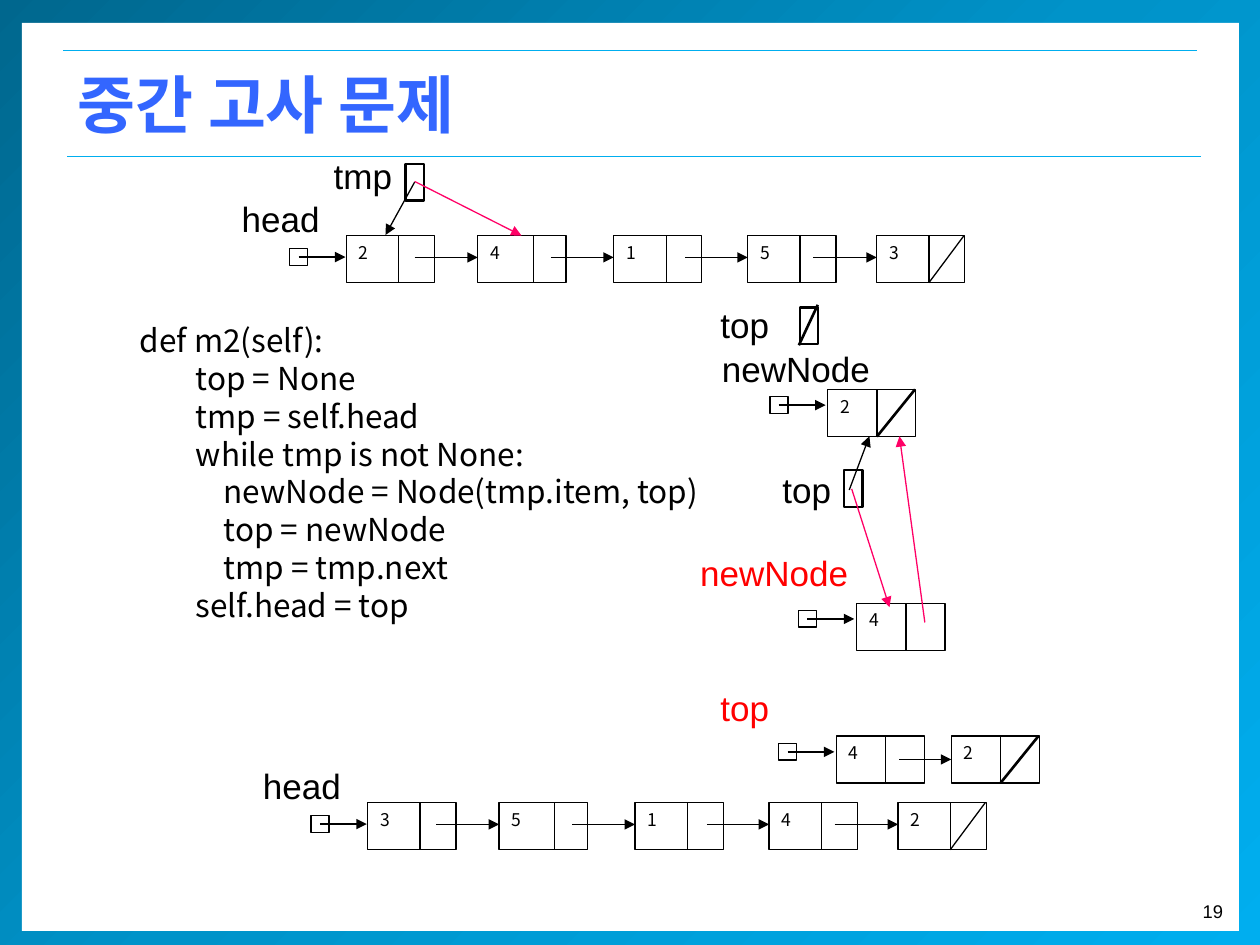
from copy import deepcopy

from lxml.etree import SubElement
from pptx import Presentation
from pptx.dml.color import RGBColor
from pptx.enum.shapes import MSO_CONNECTOR, MSO_SHAPE
from pptx.enum.text import MSO_ANCHOR, PP_ALIGN
from pptx.oxml.ns import qn
from pptx.util import Pt

BLACK, WHITE, RED, PINK = "000000", "FFFFFF", "FF0000", "FF0066"
BLUE, CYAN = "3366FF", "00AEEF"
LATIN, KOREAN = "Arial", "Noto Sans CJK KR"
NODE_WIDTH, NODE_HEIGHT = 50.4, 27
SHORT_DIVIDER = 28.1
LABEL_WIDTHS = {"head": 59.8, "tmp": 48.2, "top": 42.5, "newNode": 100.1}

# Per node of a five-node list: left from the first node, divider, start of the next arrow
CHAIN = [(0, 29.8, 39), (75, 31.7, 41.8), (152.7, 30, 41), (229.3, 29.8, 37.5), (303, 29.8, None)]

# Indent level and text
CODE = [
    (0, "def m2(self):"),
    (2, "top = None"),
    (2, "tmp = self.head"),
    (2, "while tmp is not None:"),
    (3, "newNode = Node(tmp.item, top)"),
    (3, "top = newNode"),
    (3, "tmp = tmp.next"),
    (2, "self.head = top"),
]


def color(value):
    return RGBColor.from_string(value)


def apply_format(target, values):
    for name, value in values.items():
        setattr(target, name, value)


def add_span(para, text, size, font=LATIN, fill=BLACK, bold=False):
    span = para.add_run()
    span.text = text
    apply_format(span.font, {"size": Pt(size), "name": font, "bold": bold})
    span.font.color.rgb = color(fill)
    if font == KOREAN:
        SubElement(span.font._element, qn("a:ea")).set("typeface", font)


def add_text(page, left, top, width, height, text, size, wrap=False,
             anchor=MSO_ANCHOR.TOP, align=PP_ALIGN.LEFT, **style):
    box = page.shapes.add_textbox(Pt(left), Pt(top), Pt(width), Pt(height))
    apply_format(box.text_frame, {"word_wrap": wrap, "vertical_anchor": anchor})
    para = box.text_frame.paragraphs[0]
    para.alignment = align
    add_span(para, text, size, **style)


def add_label(page, left, top, text, fill=BLACK):
    add_text(page, left, top, LABEL_WIDTHS[text], 31.7, text, 20, fill=fill)


def add_box(page, left, top, width, height, fill=WHITE, line=BLACK, weight=0.75):
    box = page.shapes.add_shape(MSO_SHAPE.RECTANGLE, Pt(left), Pt(top), Pt(width), Pt(height))
    box.shadow.inherit = False
    if fill:
        box.fill.solid()
        box.fill.fore_color.rgb = color(fill)
    else:
        box.fill.background()
    if line:
        box.line.color.rgb = color(line)
        box.line.width = Pt(weight)
    else:
        box.line.fill.background()
    return box


def add_line(page, start, end, stroke=BLACK, weight=0.75, arrow=False):
    line = page.shapes.add_connector(MSO_CONNECTOR.STRAIGHT, *map(Pt, start + end))
    line.line.color.rgb = color(stroke)
    line.line.width = Pt(weight)
    if arrow:
        SubElement(line.line._get_or_add_ln(), qn("a:tailEnd")).set("type", "triangle")
    SubElement(line._element.spPr, qn("a:effectLst"))


def add_node(page, left, top, item, divider=SHORT_DIVIDER, slash=None):
    """Draw an item cell and a link cell; slash is the weight of the null mark."""
    box = add_box(page, left, top, NODE_WIDTH, NODE_HEIGHT)
    box.text_frame.vertical_anchor = MSO_ANCHOR.TOP
    para = box.text_frame.paragraphs[0]
    para.alignment = PP_ALIGN.LEFT
    add_span(para, item, 10, KOREAN)
    middle, bottom = left + divider, top + NODE_HEIGHT
    add_line(page, (middle, top), (middle, bottom))
    if slash:
        add_line(page, (middle, bottom), (left + NODE_WIDTH - 0.5, top), weight=slash)


def add_pointer(page, left, top):
    """Draw a small reference cell with an arrow to the right."""
    add_box(page, left, top, 10.3, 9.4)
    add_line(page, (left + 5, top + 4.7), (left + 31.8, top + 4.7), arrow=True)


def add_variable(page, left, top):
    add_box(page, left, top, 10.5, 21, fill=None, weight=1.25)


def add_chain(page, left, top, items):
    add_label(page, left - 67, top - 25, "head")
    add_pointer(page, left - 32.4, top + 7.6)
    for item, (offset, divider, _) in zip(items, CHAIN):
        is_last = offset == CHAIN[-1][0]
        add_node(page, left + offset, top, item, divider, 0.75 if is_last else None)
    for (offset, _, start), (following, _, _) in zip(CHAIN, CHAIN[1:]):
        add_line(page, (left + offset + start, top + 12.5), (left + following, top + 12.5), arrow=True)


def add_frame(page):
    border = add_box(page, 0, -3, 720, 546.5, line=None)
    border.fill.gradient()
    border.fill.gradient_angle = 315
    stops = border._element.find(".//" + qn("a:gsLst"))
    stops.insert(1, deepcopy(stops[0]))
    for stop, position, value in zip(border.fill.gradient_stops, (0, 0.5, 1), ("00678E", "0093C9", CYAN)):
        stop.position = position
        stop.color.rgb = color(value)
    add_box(page, 12.5, 13, 695.5, 519, line=None)
    add_text(page, 678, 511, 28, 20, "19", 10.5, align=PP_ALIGN.RIGHT)
    for left, top in ((36, 28.8), (38.4, 89.3)):
        add_line(page, (left, top), (left + 648, top), CYAN)
    add_text(page, 37.4, 28.8, 653, 60.5, "중간 고사 문제", 36, wrap=True,
             anchor=MSO_ANCHOR.MIDDLE, font=KOREAN, fill=BLUE, bold=True)


def add_code(page):
    box = page.shapes.add_textbox(Pt(72.8), Pt(180), Pt(588), Pt(180))
    frame = box.text_frame
    frame.word_wrap = True
    for index, (level, text) in enumerate(CODE):
        para = frame.add_paragraph() if index else frame.paragraphs[0]
        para.line_spacing = Pt(21.6)
        para._p.get_or_add_pPr().set("marL", str(Pt(16 * level)))
        add_span(para, text, 18, KOREAN)


def add_traversal(page):
    """Draw tmp moving along the first list."""
    add_chain(page, 198, 134.6, "24153")
    add_label(page, 183.6, 84.5, "tmp")
    add_variable(page, 231.8, 93.6)
    add_line(page, (237, 104), (220.3, 134.3), arrow=True)
    add_line(page, (237, 103.7), (298, 134.6), PINK, arrow=True)


def add_new_nodes(page):
    """Draw the top variable and the two nodes being linked."""
    add_label(page, 404.6, 170, "top")
    add_variable(page, 457, 175.7)
    add_line(page, (456.5, 197.3), (467.3, 174.2), weight=1.5)

    add_label(page, 405.4, 195, "newNode")
    add_pointer(page, 440, 226.8)
    add_node(page, 473, 222.5, "2", slash=1.5)

    add_label(page, 440, 264.2, "top")
    add_variable(page, 482.4, 268.6)
    add_line(page, (485.3, 280), (496.8, 249.3), arrow=True)

    add_label(page, 393, 311.8, "newNode", RED)
    add_pointer(page, 456.3, 349)
    add_node(page, 489.6, 344.7, "4")
    add_line(page, (528.5, 355.7), (514, 249.3), PINK, arrow=True)
    add_line(page, (486.7, 279.4), (508.3, 347), PINK, arrow=True)


def add_result(page):
    """Draw the list under top and the reversed list."""
    add_label(page, 404.6, 388.8, "top", RED)
    add_pointer(page, 445, 425)
    add_node(page, 478, 420.5, "4")
    add_node(page, 543.6, 420.5, "2", slash=1.5)
    add_line(page, (514, 434), (543.6, 434), arrow=True)
    add_chain(page, 210.2, 458.6, "35142")


def main():
    deck = Presentation()
    apply_format(deck, {"slide_width": Pt(720), "slide_height": Pt(540)})
    page = deck.slides.add_slide(deck.slide_layouts[6])
    add_frame(page)
    add_code(page)
    add_traversal(page)
    add_new_nodes(page)
    add_result(page)
    deck.save("out.pptx")


if __name__ == "__main__":
    main()
